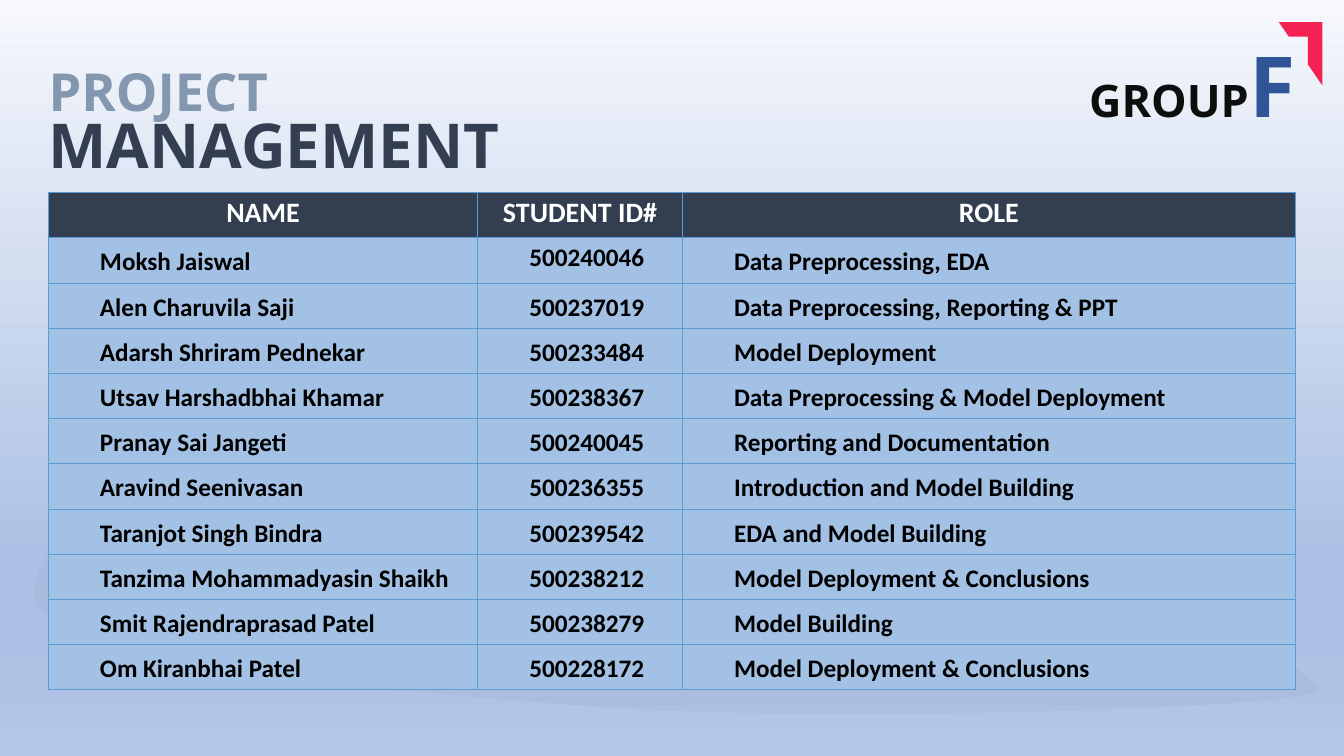
import copy
import math

import pptx
import pptx.dml.color
import pptx.enum.shapes
import pptx.enum.text
import pptx.oxml
import pptx.oxml.ns
import pptx.util
from pptx.dml.color import RGBColor
from pptx.util import Cm

NAVY = RGBColor(0x33, 0x3F, 0x50)
SLATE = RGBColor(0x84, 0x97, 0xB0)
RED = RGBColor(0xF4, 0x21, 0x53)
BLUE = RGBColor(0x2F, 0x55, 0x97)
SKY = RGBColor(0xA3, 0xC1, 0xE5)
BORDER = RGBColor(0x5B, 0x9B, 0xD5)
INK = RGBColor(0x0D, 0x0D, 0x0D)
BLACK = RGBColor(0, 0, 0)
WHITE = RGBColor(0xFF, 0xFF, 0xFF)
BACKGROUND_STOPS = [
    (0, RGBColor(0xF6, 0xF8, 0xFC)),
    (0.74, RGBColor(0xAB, 0xC0, 0xE4)),
    (0.83, RGBColor(0xAB, 0xC0, 0xE4)),
    (1, RGBColor(0xB4, 0xC7, 0xE7)),
]

# Bezier anchors and controls of the soft backdrop, in centimetres
BACKDROP = [
    (0.86, 15.04), (0.51, 13.28), (7.85, 6.88), (13.23, 7.29),
    (18.64, 7.67), (33.3, 16.92), (33.25, 17.37),
    (33.2, 17.86), (20.75, 18.21), (15.34, 17.83),
    (9.93, 17.42), (1.19, 16.79), (0.86, 15.04),
]
BACKDROP_CENTER = (17.41, 12.99)
BACKDROP_ANGLE = 6.5

HEADERS = ("NAME", "STUDENT ID#", "ROLE")
MEMBERS = [
    ("Moksh Jaiswal", "500240046", "Data Preprocessing, EDA"),
    ("Alen Charuvila Saji", "500237019", "Data Preprocessing, Reporting & PPT"),
    ("Adarsh Shriram Pednekar", "500233484", "Model Deployment"),
    ("Utsav Harshadbhai Khamar", "500238367", "Data Preprocessing & Model Deployment"),
    ("Pranay Sai Jangeti", "500240045", "Reporting and Documentation"),
    ("Aravind Seenivasan", "500236355", "Introduction and Model Building"),
    ("Taranjot Singh Bindra", "500239542", "EDA and Model Building"),
    ("Tanzima Mohammadyasin Shaikh", "500238212", "Model Deployment & Conclusions"),
    ("Smit Rajendraprasad Patel", "500238279", "Model Building"),
    ("Om Kiranbhai Patel", "500228172", "Model Deployment & Conclusions"),
]


def unrotate(point):
    """Turn a point back by the backdrop's angle, about its centre."""
    angle = math.radians(BACKDROP_ANGLE)
    x, y = (value - middle for value, middle in zip(point, BACKDROP_CENTER))
    return (BACKDROP_CENTER[0] + x * math.cos(angle) + y * math.sin(angle),
            BACKDROP_CENTER[1] - x * math.sin(angle) + y * math.cos(angle))


def curve_points(points, steps=24):
    """Sample a chain of cubic Bezier curves, without its first point."""
    for start in range(0, len(points) - 1, 3):
        for step in range(1, steps + 1):
            t = step / steps
            weights = ((1 - t) ** 3, 3 * t * (1 - t) ** 2, 3 * t * t * (1 - t), t ** 3)
            yield tuple(sum(weight * point[axis]
                            for weight, point in zip(weights, points[start:start + 4]))
                        for axis in (0, 1))


class SlideBuilder:
    heading_font = "Open Sans"
    table_font = "Calibri"

    def __init__(self, presentation):
        self.slide = presentation.slides.add_slide(presentation.slide_layouts[5])

    def style(self, font, size, color, name):
        font.name, font.size, font.bold = name, pptx.util.Pt(size), True
        font.color.rgb = color

    def paint(self, shape, color):
        shape.shadow.inherit = False
        shape.fill.solid()
        shape.fill.fore_color.rgb = color
        shape.line.fill.background()

    def background(self, stops):
        fill = self.slide.background.fill
        fill.gradient()
        fill.gradient_angle = 270
        stop_list = self.slide.element.find(".//" + pptx.oxml.ns.qn("a:gsLst"))
        while len(stop_list) < len(stops):
            stop_list.append(copy.deepcopy(stop_list[-1]))
        for stop, (position, color) in zip(fill.gradient_stops, stops):
            stop.position = position
            stop.color.rgb = color

    def backdrop(self, points, color, opacity):
        points = [unrotate(point) for point in points]
        builder = self.slide.shapes.build_freeform(Cm(points[0][0]), Cm(points[0][1]))
        builder.add_line_segments([(Cm(x), Cm(y)) for x, y in curve_points(points)])
        shape = builder.convert_to_shape()
        shape.rotation = BACKDROP_ANGLE
        self.paint(shape, color)
        color_element = shape.element.spPr.find(".//" + pptx.oxml.ns.qn("a:srgbClr"))
        color_element.append(pptx.oxml.parse_xml(
            f'<a:alpha {pptx.oxml.ns.nsdecls("a")} val="{opacity * 1000}"/>'))
        shape.element.getparent().insert(2, shape.element)  # behind the title

    def title(self, lines, left, top, width, height):
        title = self.slide.shapes.title
        title.left, title.top, title.width, title.height = map(Cm, (left, top, width, height))
        frame = title.text_frame
        frame.text = "\n".join(text for text, _, _ in lines)
        frame.word_wrap = True
        frame.auto_size = pptx.enum.text.MSO_AUTO_SIZE.NONE
        frame.vertical_anchor = pptx.enum.text.MSO_ANCHOR.BOTTOM
        for paragraph, (_, size, color) in zip(frame.paragraphs, lines):
            paragraph.alignment = pptx.enum.text.PP_ALIGN.LEFT
            paragraph.line_spacing = 0.8
            self.style(paragraph.font, size, color, self.heading_font)

    def label(self, runs, left, top, width, height):
        box = self.slide.shapes.add_textbox(*map(Cm, (left, top, width, height)))
        frame = box.text_frame
        frame.word_wrap = True
        frame.vertical_anchor = pptx.enum.text.MSO_ANCHOR.BOTTOM
        for text, size, color in runs:
            run = frame.paragraphs[0].add_run()
            run.text = text
            self.style(run.font, size, color, self.heading_font)

    def corner(self, color, left, top, width, height):
        shape = self.slide.shapes.add_shape(
            pptx.enum.shapes.MSO_SHAPE.HALF_FRAME, *map(Cm, (left, top, width, height)))
        shape.element.spPr.xfrm.set("flipH", "1")
        self.paint(shape, color)

    def cell(self, cell, text, is_header):
        properties = cell._tc.get_or_add_tcPr()
        for side in "LRTB":
            properties.append(pptx.oxml.parse_xml(
                f'<a:ln{side} {pptx.oxml.ns.nsdecls("a")} w="6350"><a:solidFill>'
                f'<a:srgbClr val="{BORDER}"/></a:solidFill></a:ln{side}>'))
        cell.fill.solid()
        cell.fill.fore_color.rgb = NAVY if is_header else SKY
        cell.margin_left = cell.margin_right = cell.margin_top = Cm(0.03)
        cell.margin_bottom = Cm(0.13)
        anchor = pptx.enum.text.MSO_ANCHOR
        cell.vertical_anchor = anchor.MIDDLE if is_header else anchor.BOTTOM
        cell.text = text
        paragraph = cell.text_frame.paragraphs[0]
        if is_header:
            paragraph.alignment = pptx.enum.text.PP_ALIGN.CENTER
            self.style(paragraph.font, 20, WHITE, self.table_font)
        else:
            paragraph.level = 1
            indents = paragraph._p.get_or_add_pPr()
            indents.set("marL", str(Cm(1.27)))
            indents.set("indent", "0")
            self.style(paragraph.font, 18, BLACK, self.table_font)

    def table(self, rows, left, top, column_widths, row_height):
        table = self.slide.shapes.add_table(
            len(rows), len(column_widths), Cm(left), Cm(top),
            Cm(sum(column_widths)), Cm(row_height * len(rows))).table
        table.horz_banding = False
        for column, width in zip(table.columns, column_widths):
            column.width = Cm(width)
        for row_index, row in enumerate(rows):
            table.rows[row_index].height = Cm(row_height)
            for column_index, text in enumerate(row):
                self.cell(table.cell(row_index, column_index), text, row_index == 0)
        return table


def main():
    presentation = pptx.Presentation()
    presentation.slide_width, presentation.slide_height = Cm(33.87), Cm(19.05)
    builder = SlideBuilder(presentation)
    builder.background(BACKGROUND_STOPS)
    builder.backdrop(BACKDROP, SLATE, opacity=12)
    builder.title([("PROJECT", 37.4, SLATE), ("MANAGEMENT", 44.2, NAVY)],
                  0.97, 1.63, 16.71, 3.05)
    builder.corner(RED, 32.23, 0.56, 1.1, 1.6)
    table = builder.table([HEADERS] + MEMBERS, 1.22, 4.85, (10.82, 5.16, 15.44), 1.14)
    table.cell(1, 1).vertical_anchor = pptx.enum.text.MSO_ANCHOR.MIDDLE
    builder.label([("GROUP", 32, INK), ("F", 60, BLUE)], 27.2, 0.46, 6.68, 3.05)
    presentation.save("out.pptx")


if __name__ == "__main__":
    main()
